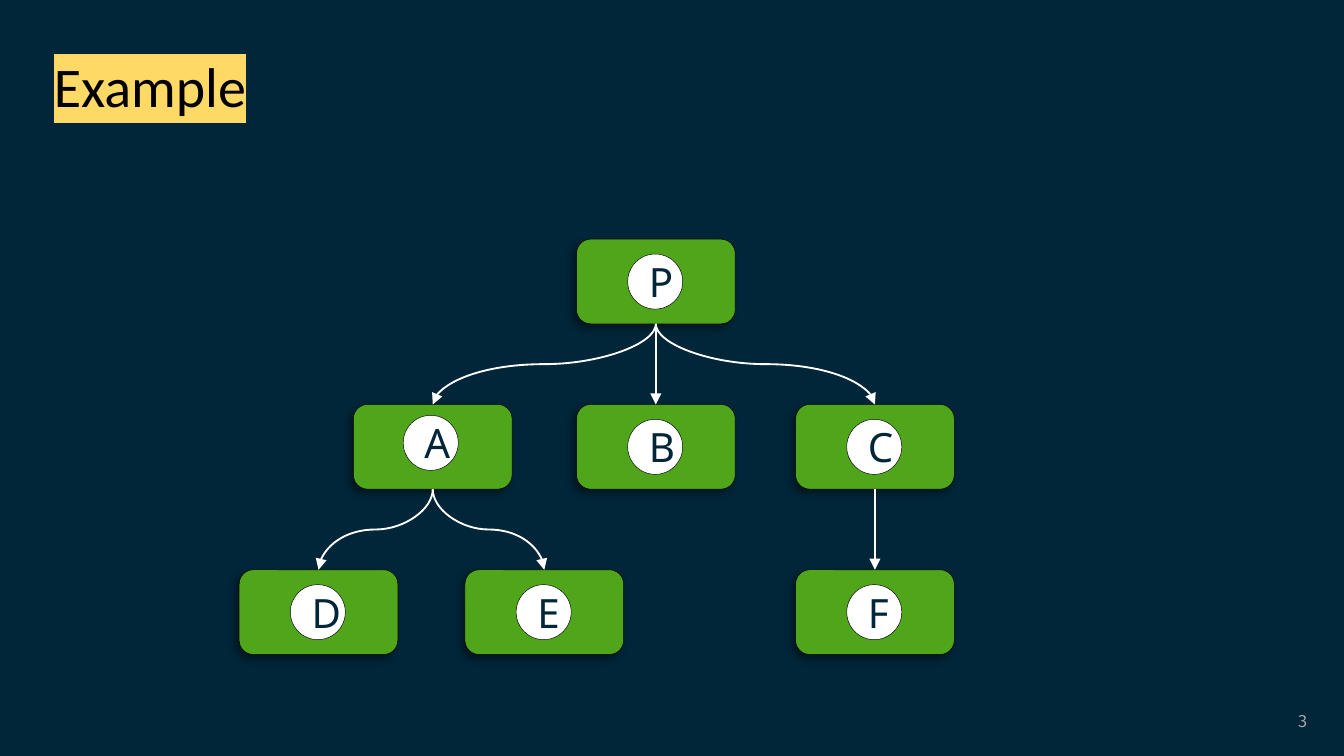
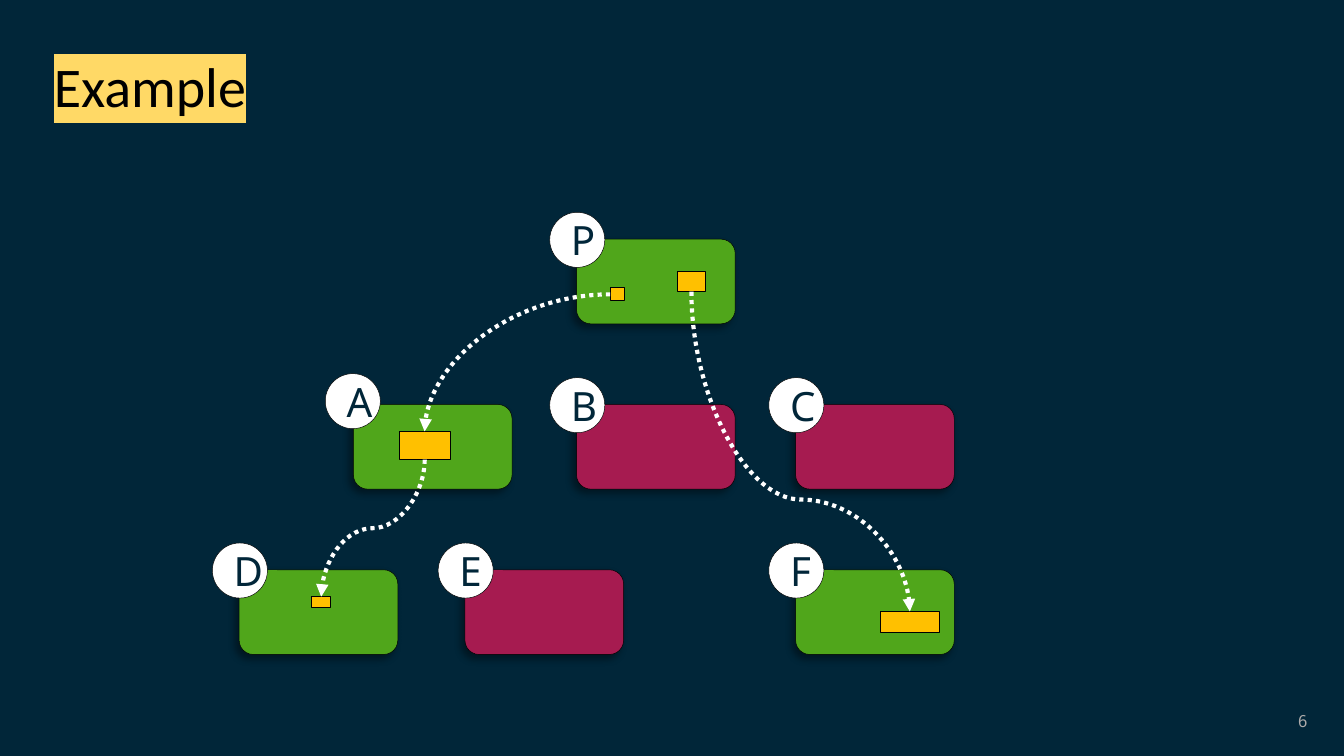
import pptx
import pptx.util
import pptx.dml.color
import pptx.enum.dml
import pptx.enum.shapes
import pptx.enum.text
import pptx.oxml
import pptx.oxml.ns

Inches = pptx.util.Inches
Pt = pptx.util.Pt
qn = pptx.oxml.ns.qn
SHAPES = pptx.enum.shapes.MSO_SHAPE
CONNECTORS = pptx.enum.shapes.MSO_CONNECTOR
ALIGN = pptx.enum.text.PP_ALIGN
ANCHOR = pptx.enum.text.MSO_ANCHOR

COLORS = {
    "night": "012639",
    "green": "50A61B",
    "crimson": "A61B50",
    "amber": "FFC000",
    "highlight": "FFD966",
    "white": "FFFFFF",
    "black": "000000",
    "gray": "AEABAB",
}
TOP, LEFT, BOTTOM = 0, 1, 2
NODE_SIZE = (1.18, 0.63)
BADGE_SIZE = 0.41
LEVEL_PITCH = 1.23
NODES = {
    "P": (2.51, 0), "A": (0.85, 1), "B": (2.51, 1), "C": (4.14, 1),
    "D": (0, 2), "E": (1.68, 2), "F": (4.14, 2),
}
BADGE_NUDGES = {"A": (-0.01, -0.03)}
EDGES = ["PA", "PC", "PB", "AE", "AD", "CF"]
TREE_BOX = (1.78, 1.78)
TITLE_BOX = (0.3, 0.39, 7.31, 0.54)
NUMBER_BOX = (7.58, 5.21, 2.25, 0.3)


def rgb(name):
    return pptx.dml.color.RGBColor.from_string(COLORS[name])


def drawing_xml(tag, attributes, content=""):
    return pptx.oxml.parse_xml(
        f'<a:{tag} {pptx.oxml.ns.nsdecls("a")} {attributes}>{content}</a:{tag}>')


def set_font(paragraph, family, size, color):
    paragraph.font.name = family
    paragraph.font.size = Pt(size)
    paragraph.font.color.rgb = rgb(color)


def add_block(slide, kind, box, fill, outline):
    block = slide.shapes.add_shape(kind, *map(Inches, box))
    block.shadow.inherit = False
    block.fill.solid()
    block.fill.fore_color.rgb = rgb(fill)
    block.line.color.rgb = rgb("black")
    block.line.width = Pt(outline)
    return block


def add_node(slide, left, top, fill):
    node = add_block(slide, SHAPES.ROUNDED_RECTANGLE, (left, top, *NODE_SIZE), fill, 0.25)
    effects = node._element.spPr.find(qn("a:effectLst"))
    effects.append(drawing_xml(
        "outerShdw",
        f'blurRad="{Pt(4)}" dist="{Pt(3)}" dir="8100000" algn="tr" rotWithShape="0"',
        f'<a:srgbClr val="{COLORS["black"]}"><a:alpha val="40000"/></a:srgbClr>'))
    return node


def add_badge(slide, left, top, letter):
    badge = add_block(slide, SHAPES.OVAL, (left, top, BADGE_SIZE, BADGE_SIZE), "white", 0.25)
    badge.text_frame.text = letter
    badge.text_frame.vertical_anchor = ANCHOR.MIDDLE
    label = badge.text_frame.paragraphs[0]
    label.alignment = ALIGN.CENTER
    set_font(label, "Noto Sans", 21.6, "night")


def add_tree(slide, box, badge_offset, crimson=""):
    left, top = box
    places = {name: (left + x, top + level * LEVEL_PITCH)
              for name, (x, level) in NODES.items()}
    nodes = {name: add_node(slide, x, y, "crimson" if name in crimson else "green")
             for name, (x, y) in places.items()}
    for name, (x, y) in places.items():
        nudge_x, nudge_y = BADGE_NUDGES.get(name, (0, 0))
        add_badge(slide, x + badge_offset[0] + nudge_x, y + badge_offset[1] + nudge_y, name)
    return nodes, places


def turn_downward(curve):
    dx, dy = curve.end_x - curve.begin_x, curve.end_y - curve.begin_y
    middle_x = (curve.begin_x + curve.end_x) // 2
    middle_y = (curve.begin_y + curve.end_y) // 2
    frame = curve._element.spPr.find(qn("a:xfrm"))
    frame.attrib.clear()
    frame.set("rot", "5400000" if dx < 0 else "16200000")
    if dx > 0:
        frame.set("flipH", "1")
    curve.width, curve.height = abs(dy), abs(dx)
    curve.left, curve.top = middle_x - abs(dy) // 2, middle_y - abs(dx) // 2


def add_arrow(slide, source, target, width, site=BOTTOM, dotted=False, bend=0.5):
    straight = site == BOTTOM and source.left == target.left
    kind = CONNECTORS.STRAIGHT if straight else CONNECTORS.CURVE
    arrow = slide.shapes.add_connector(kind, 0, 0, 0, 0)
    arrow.begin_connect(source, site)
    arrow.end_connect(target, TOP)
    properties = arrow._element.spPr
    geometry = properties.find(qn("a:prstGeom"))
    if site == LEFT:
        geometry.set("prst", "curvedConnector2")
    elif not straight:
        turn_downward(arrow)
        geometry.find(qn("a:avLst")).append(
            drawing_xml("gd", f'name="adj1" fmla="val {round(bend * 100000)}"'))
    arrow.line.color.rgb = rgb("white")
    arrow.line.width = Pt(width)
    if dotted:
        arrow.line.dash_style = pptx.enum.dml.MSO_LINE.ROUND_DOT
    properties.find(qn("a:ln")).append(drawing_xml("tailEnd", 'type="triangle"'))
    properties.append(drawing_xml("effectLst", ""))


def add_title(slide, box, text):
    title = slide.shapes.title
    title.left, title.top, title.width, title.height = map(Inches, box)
    frame = title.text_frame
    frame.text = text
    frame.auto_size = pptx.enum.text.MSO_AUTO_SIZE.NONE
    frame.vertical_anchor = ANCHOR.TOP
    heading = frame.paragraphs[0]
    heading.alignment = ALIGN.LEFT
    heading.line_spacing = 0.9
    set_font(heading, "Calibri", 30, "black")
    heading.runs[0]._r.get_or_add_rPr().append(
        drawing_xml("highlight", "", f'<a:srgbClr val="{COLORS["highlight"]}"/>'))


def add_number(slide, box, number):
    frame = slide.shapes.add_textbox(*map(Inches, box)).text_frame
    frame.word_wrap = True
    frame.text = str(number)
    frame.vertical_anchor = ANCHOR.MIDDLE
    frame.paragraphs[0].alignment = ALIGN.RIGHT
    set_font(frame.paragraphs[0], "Fira Code", 9, "gray")


def add_example(deck, number):
    slide = deck.slides.add_slide(deck.slide_layouts[5])
    add_title(slide, TITLE_BOX, "Example")
    add_number(slide, NUMBER_BOX, number)
    return slide


def build_hierarchy(deck, number):
    slide = add_example(deck, number)
    nodes, _ = add_tree(slide, TREE_BOX, (0.38, 0.11))
    for parent, child in EDGES:
        add_arrow(slide, nodes[parent], nodes[child], 1)


def build_mapping(deck, number):
    slide = add_example(deck, number)
    _, places = add_tree(slide, TREE_BOX, (-0.2, -0.2), crimson="BCE")

    def add_region(node, dx, dy, width, height):
        left, top = places[node]
        return add_block(slide, SHAPES.RECTANGLE,
                         (left + dx, top + dy, width, height), "amber", 0.5)

    small_p = add_region("P", 0.25, 0.36, 0.11, 0.1)
    large_p = add_region("P", 0.75, 0.24, 0.21, 0.15)
    region_a = add_region("A", 0.34, 0.2, 0.38, 0.21)
    region_d = add_region("D", 0.54, 0.2, 0.14, 0.08)
    region_f = add_region("F", 0.63, 0.31, 0.44, 0.16)
    add_arrow(slide, small_p, region_a, 2.25, site=LEFT, dotted=True)
    add_arrow(slide, region_a, region_d, 2.25, dotted=True)
    add_arrow(slide, large_p, region_f, 2.25, dotted=True, bend=0.65)


deck = pptx.Presentation()
deck.slide_width = Inches(10)
deck.slide_height = deck.slide_width * 9 // 16
backdrop = deck.slide_master.background.fill
backdrop.solid()
backdrop.fore_color.rgb = rgb("night")
build_hierarchy(deck, 3)
build_mapping(deck, 6)
deck.save("out.pptx")
